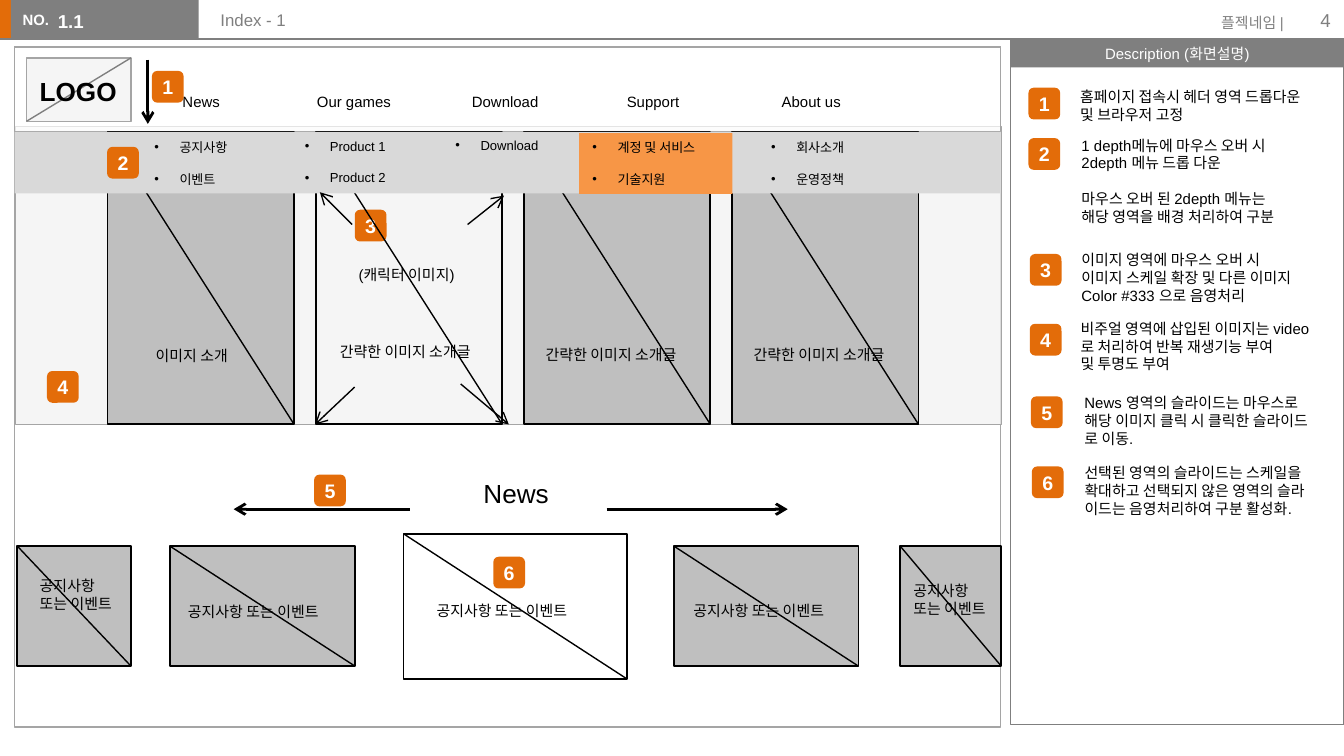
from dataclasses import dataclass

from lxml.etree import SubElement
from pptx import Presentation
from pptx.dml.color import RGBColor as Rgb
from pptx.enum.shapes import MSO_CONNECTOR as Connector, MSO_SHAPE as Preset
from pptx.enum.text import MSO_ANCHOR as Anchor, MSO_AUTO_SIZE as AutoSize, PP_ALIGN as Align
from pptx.oxml.ns import qn
from pptx.util import Pt


@dataclass(frozen=True)
class Theme:
    font: str = "Arial"
    ink: str = "000000"
    white: str = "FFFFFF"
    accent: str = "E36C09"
    hover: str = "F79646"
    gray: str = "7F7F7F"
    border: str = "A5A5A5"
    tile: str = "BFBFBF"
    strip: str = "D9D9D9"
    pale: str = "F2F2F2"
    menu: float = 7
    body: float = 8
    title: float = 9
    number: float = 10
    badge: float = 10.5
    heading: float = 14


THEME = Theme()
INSETS = (7.2, 3.6)
BADGE_SIZE = 17
MENU_INDENT = 13.5
SLIDE_LABEL = "공지사항 또는 이벤트"
IMAGE_LABEL = "간략한 이미지 소개글"

SUBMENUS = [
    (75.6, 71.3, 63.4, ["공지사항", "이벤트"], None),
    (156.2, 70.6, 63.4, ["Product 1", "Product 2"], None),
    (236.9, 70, 63.4, ["Download"], None),
    (310.3, 71.3, 82, ["계정 및 서비스", "기술지원"], THEME.hover),
    (406, 71.3, 63.4, ["회사소개", "운영정책"], None),
]
NEWS_SLIDES = [
    (9.2, 292.5, 61, 64.4, THEME.tile),
    (90.9, 292.5, 99.3, 64.4, THEME.tile),
    (216.2, 286, 119.8, 77.8, None),
    (360.9, 292.5, 99, 64.4, THEME.tile),
    (482.2, 292.5, 54.2, 64.4, THEME.tile),
]
LABELS = [
    (185, 139, 70.6, "(캐릭터 이미지)", False),
    (175, 180, 91.4, IMAGE_LABEL, False),
    (76.3, 182, 56.9, "이미지 소개", False),
    (285.3, 181.4, 91.4, IMAGE_LABEL, False),
    (396.7, 181.4, 91.4, IMAGE_LABEL, False),
    (93.6, 319.5, 91.4, SLIDE_LABEL, False),
    (226.8, 319, 91.4, SLIDE_LABEL, False),
    (364.4, 319, 91.4, SLIDE_LABEL, False),
    (482.2, 308.2, 53.2, SLIDE_LABEL, True),
    (14.2, 305.3, 53.2, SLIDE_LABEL, True),
]
ARROWS = [
    (219.6, 272.8, 125.2, 272.8, 1.5),
    (325, 272.8, 422, 272.8, 1.5),
    (79.2, 32, 79.2, 66.4, 1.5),
    (250.5, 120.3, 270, 104.8, 0.75),
    (190, 207.4, 168.8, 227.4, 0.75),
    (188.6, 120.3, 171.4, 103, 0.75),
    (246.8, 205.7, 272.6, 227.4, 0.75),
]
BADGES = [(81.4, 38, 1), (57.4, 78.7, 2), (25.2, 198.8, 4), (168.3, 254.3, 5), (264.3, 298.3, 6)]
DESCRIPTIONS = [
    (551, 47, 571.6, 43.4, 144.7, ["홈페이지 접속시 헤더 영역 드롭다운", "및 브라우저 고정"]),
    (551, 74, 572.3, 69.4, 128.9, ["1 depth메뉴에 마우스 오버 시", "2depth 메뉴 드롭 다운",
                                   "마우스 오버 된 2depth 메뉴는", "해당 영역을 배경 처리하여 구분"]),
    (551.7, 136.1, 572.3, 131, 141.1, ["이미지 영역에 마우스 오버 시", "이미지 스케일 확장 및 다른 이미지",
                                       "Color #333 으로 음영처리"]),
    (551.7, 173.5, 571.8, 167.5, 148.3, ["비주얼 영역에 삽입된 이미지는 video", "로 처리하여 반복 재생기능 부여",
                                         "및 투명도 부여"]),
    (552.3, 212.4, 573.9, 207.5, 146.9, ["News 영역의 슬라이드는 마우스로", "해당 이미지 클릭 시 클릭한 슬라이드",
                                         "로 이동."]),
    (552.8, 249.9, 573.9, 245, 144.7, ["선택된 영역의 슬라이드는 스케일을", "확대하고 선택되지 않은 영역의 슬라",
                                       "이드는 음영처리하여 구분 활성화."]),
]


def place(item, left, top, width, height):
    item.left, item.top, item.width, item.height = map(Pt, (left, top, width, height))


def write(holder, lines, size, color=THEME.ink, bold=False, align=Align.LEFT,
          anchor=Anchor.TOP, wrap=True, insets=INSETS):
    frame = holder.text_frame
    frame.auto_size = AutoSize.NONE
    frame.word_wrap = wrap
    frame.vertical_anchor = anchor
    frame.margin_left = frame.margin_right = Pt(insets[0])
    frame.margin_top = frame.margin_bottom = Pt(insets[1])
    for index, line in enumerate(lines):
        paragraph = frame.add_paragraph() if index else frame.paragraphs[0]
        paragraph.alignment = align
        paragraph.space_before = Pt(0)
        run = paragraph.add_run()
        run.text = line
        run.font.name, run.font.size, run.font.bold = THEME.font, Pt(size), bold
        run.font.color.rgb = Rgb.from_string(color)
    return frame.paragraphs


def add_label(slide, bounds, lines, size=THEME.body, **style):
    label = slide.shapes.add_textbox(*map(Pt, bounds))
    return write(label, lines, size, **style)


def add_box(slide, bounds, fill=None, line=None, weight=0.75, opacity=None, preset=Preset.RECTANGLE):
    box = slide.shapes.add_shape(preset, *map(Pt, bounds))
    box.shadow.inherit = False
    if fill:
        box.fill.solid()
        box.fill.fore_color.rgb = Rgb.from_string(fill)
        if opacity:
            color = box.fill._xPr.find(qn("a:solidFill"))[0]
            SubElement(color, qn("a:alpha"), val=str(opacity * 1000))
    else:
        box.fill.background()
    if line:
        box.line.color.rgb = Rgb.from_string(line)
        box.line.width = Pt(weight)
    else:
        box.line.fill.background()
    return box


def add_line(slide, ends, color=THEME.ink, weight=0.75, arrow=False):
    line = slide.shapes.add_connector(Connector.STRAIGHT, *map(Pt, ends))
    line.line.color.rgb = Rgb.from_string(color)
    line.line.width = Pt(weight)
    if arrow:
        SubElement(line.line._get_or_add_ln(), qn("a:tailEnd"), type="arrow")
    SubElement(line._element.spPr, qn("a:effectLst"))


def add_tile(slide, left, top, width, height, fill):
    add_box(slide, (left, top, width, height), fill, THEME.ink, 1)
    add_line(slide, (left, top, left + width, top + height))


def add_badge(slide, left, top, number):
    badge = add_box(slide, (left, top, BADGE_SIZE, BADGE_SIZE), THEME.accent,
                    preset=Preset.ROUNDED_RECTANGLE)
    write(badge, [str(number)], THEME.badge, THEME.white, True, Align.CENTER, Anchor.MIDDLE,
          insets=(0, 3.6))


def add_submenu(slide, left, top, width, entries, fill):
    menu = add_box(slide, (left, top, width, 32.6), fill)
    for index, entry in enumerate(write(menu, entries, THEME.menu)):
        entry.space_before = Pt(8.5 if index else 0)
        properties = entry._p.get_or_add_pPr()
        properties.set("marL", str(Pt(MENU_INDENT)))
        properties.set("indent", str(-Pt(MENU_INDENT)))
        SubElement(SubElement(properties, qn("a:buClr")), qn("a:srgbClr"), val=THEME.ink)
        SubElement(properties, qn("a:buFont"), typeface=THEME.font)
        SubElement(properties, qn("a:buChar"), char="•")


def build_page_frame(slide):
    add_box(slide, (-0.7, 0, 8.6, 21), THEME.accent)
    add_box(slide, (5.8, 0, 100.6, 21), THEME.gray)
    add_label(slide, (5, 2.2, 29.5, 17.3), ["NO."], color=THEME.white, bold=True, wrap=False)
    add_line(slide, (0, 21, 551.5, 21), THEME.gray)
    header = add_box(slide, (541.4, 21, 178.6, 15.1), THEME.gray)
    write(header, ["Description (화면설명)"], THEME.body, THEME.white,
          align=Align.CENTER, anchor=Anchor.MIDDLE)
    add_box(slide, (541.4, 21, 178.6, 367.2), line=THEME.gray)
    add_label(slide, (643, 3.6, 51.8, 17.3), ["플젝네임 |"], color=THEME.gray, align=Align.RIGHT)
    add_label(slide, (676.8, 0, 43.2, 21.6), ["4"], THEME.number, color=THEME.gray,
              align=Align.RIGHT, anchor=Anchor.MIDDLE)


def fill_placeholders(slide):
    title, section = slide.placeholders
    place(title, 110.9, 1.4, 404, 23)
    write(title, ["Index - 1"], THEME.title, THEME.gray)
    place(section, 31, 1.5, 79.2, 22.3)
    number = write(section, ["1.1"], THEME.number, THEME.white, True, insets=(0, 3.6))[0]
    properties = number._p.get_or_add_pPr()
    properties.set("marL", "0")
    properties.set("indent", "0")
    SubElement(properties, qn("a:buNone"))


def build_header(slide):
    add_box(slide, (7.9, 25.2, 528.2, 45.4), THEME.white, THEME.border, opacity=70)
    menu = add_label(slide, (90.7, 46.1, 468, 18), ["News\tOur games\tDownload\tSupport\tAbout us"])[0]
    stops = SubElement(menu._p.get_or_add_pPr(), qn("a:tabLst"))
    for column in range(4):
        SubElement(stops, qn("a:tab"), pos=str(Pt(72 + 83 * column)), algn="l")
    add_box(slide, (14.2, 31, 56, 34), THEME.pale, THEME.border, opacity=70)
    add_line(slide, (70.2, 31, 14.2, 65), THEME.gray)
    add_label(slide, (14.2, 36.7, 74.2, 24.5), ["LOGO"], THEME.heading, bold=True)


def build_visual(slide):
    add_badge(slide, 190.1, 112.4, 3)
    for column in range(4):
        add_tile(slide, 57.6 + 111.5 * column, 70.6, 100, 156.8, None if column == 1 else THEME.tile)
    add_box(slide, (7.9, 70.6, 527.8, 33.1), THEME.strip)
    for submenu in SUBMENUS:
        add_submenu(slide, *submenu)


def build_news(slide):
    add_label(slide, (248.4, 254.9, 56.2, 18), ["News"], THEME.heading,
              align=Align.CENTER, anchor=Anchor.MIDDLE, wrap=False)
    for news_slide in NEWS_SLIDES:
        add_tile(slide, *news_slide)


def build_annotations(slide):
    for *ends, weight in ARROWS:
        add_line(slide, ends, weight=weight, arrow=True)
    for left, top, width, text, wrap in LABELS:
        add_label(slide, (left, top, width, 36 if wrap else 17.3), [text], wrap=wrap)
    for badge in BADGES:
        add_badge(slide, *badge)
    for number, (badge_left, badge_top, left, top, width, lines) in enumerate(DESCRIPTIONS, 1):
        add_badge(slide, badge_left, badge_top, number)
        paragraphs = add_label(slide, (left, top, width, 7.2 + 9.6 * len(lines)), lines, wrap=False)
        if len(lines) == 4:
            paragraphs[2].space_before = Pt(9.3)


def main():
    deck = Presentation()
    deck.slide_width, deck.slide_height = Pt(720), Pt(405)
    slide = deck.slides.add_slide(deck.slide_layouts[1])
    build_page_frame(slide)
    add_box(slide, (7.9, 25.2, 528.2, 364.3), THEME.white, THEME.border, opacity=70)
    add_box(slide, (8.4, 67.7, 528.2, 159.8), THEME.pale, THEME.border, opacity=70)
    fill_placeholders(slide)
    for placeholder in slide.placeholders:
        slide.shapes._spTree.append(placeholder._element)
    build_header(slide)
    build_visual(slide)
    build_news(slide)
    build_annotations(slide)
    deck.save("out.pptx")


if __name__ == "__main__":
    main()
